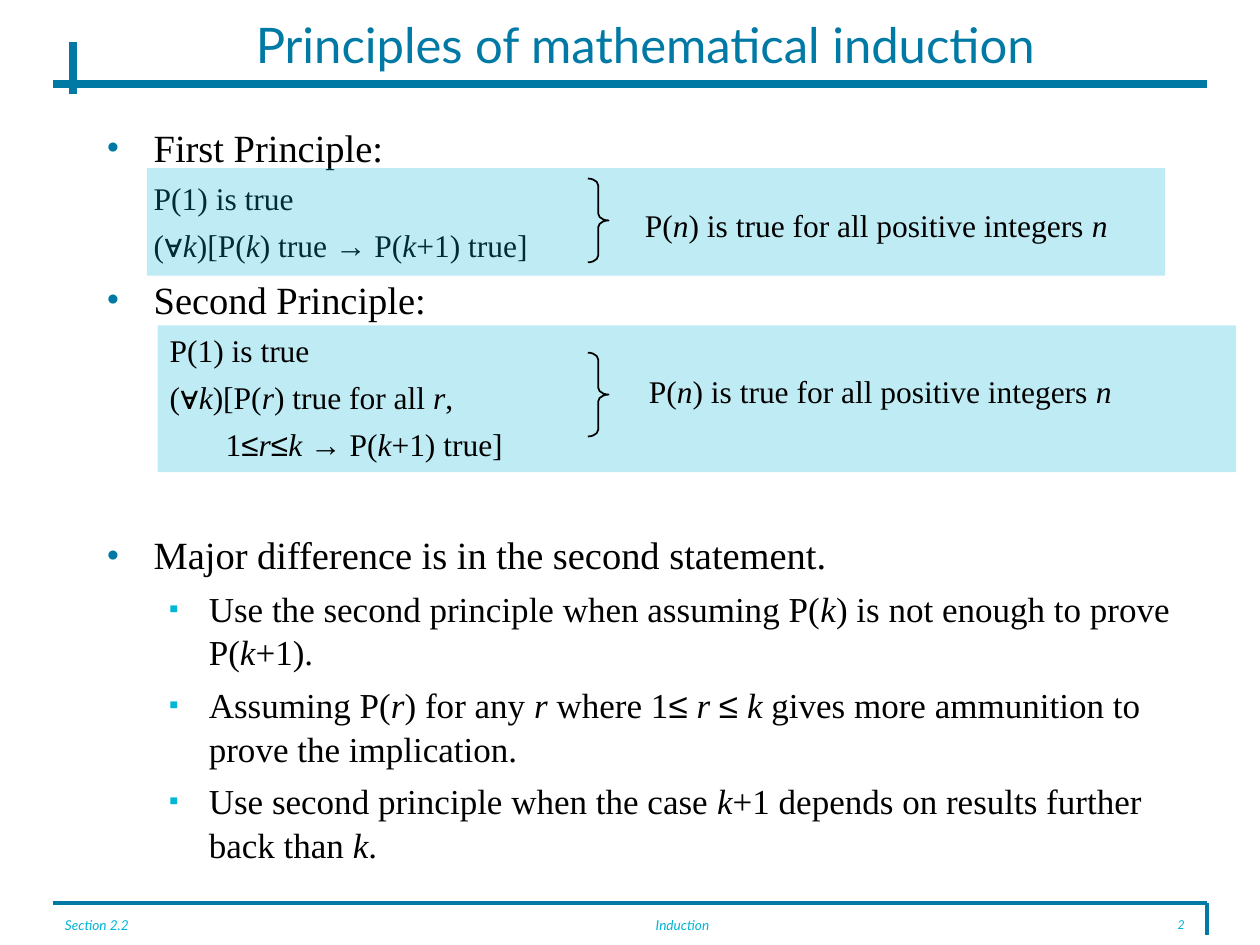
from dataclasses import dataclass
from itertools import groupby

from pptx import Presentation
from pptx.dml.color import RGBColor
from pptx.enum.shapes import MSO_CONNECTOR, MSO_SHAPE
from pptx.enum.text import MSO_ANCHOR, PP_ALIGN
from pptx.oxml.ns import qn
from pptx.util import Cm, Pt
from lxml.etree import SubElement

BLUE, CYAN, BLACK = "007AA5", "00B5D6", "000000"
SERIF, SANS, MATH = "Times New Roman", "Lato", "Arial"
SIGNS = "∀→≤"


@dataclass
class Level:
    size: float
    left: float
    hang: float = 0
    before: float = 4.5
    mark: str = ""
    tint: str = BLUE
    scale: int = 55


@dataclass
class Rule:
    x1: float
    y1: float
    x2: float
    y2: float
    width: float


@dataclass
class Note:
    text: str
    left: float
    width: float
    align: PP_ALIGN
    size: float = 7.8


@dataclass
class Proof:
    band: tuple
    brace: float
    claim: tuple


HEAD = Level(22, 0.95, 0.95, 5.5, "●")
LAST = Level(22, 0.95, 0.95, 37.5, "●")
FIRST = Level(18, 0.95)
SECOND = Level(18, 1.27)
INNER = Level(18, 2.4)
POINT = Level(20, 2.06, 0.79, 5, "■", CYAN, 40)

# Asterisks enclose italic variables
LINES = [
    (HEAD, "First Principle:"),
    (FIRST, "P(1) is true"),
    (FIRST, "(∀*k*)[P(*k*) true → P(*k*+1) true]"),
    (HEAD, "Second Principle:"),
    (SECOND, "P(1) is true"),
    (SECOND, "(∀*k*)[P(*r*) true for all *r*,"),
    (INNER, "1≤*r*≤*k* → P(*k*+1) true]"),
    (LAST, "Major difference is in the second statement."),
    (POINT, "Use the second principle when assuming P(*k*) is not enough to prove P(*k*+1)."),
    (POINT, "Assuming P(*r*) for any *r* where 1≤ *r* ≤ *k* gives more ammunition to "
            "prove the implication."),
    (POINT, "Use second principle when the case *k*+1 depends on results further back than *k*."),
]
CLAIM = "P(*n*) is true for all positive integers *n*"
RULES = [
    Rule(1.06, 18.2, 24.34, 18.2, 2.25),
    Rule(24.34, 18.2, 24.34, 18.84, 2.25),
    Rule(1.06, 1.69, 24.34, 1.69, 4.5),
    Rule(1.48, 0.85, 1.48, 1.9, 4.5),
]
NOTES = [
    Note("Section 2.2", 1.06, 4.45, PP_ALIGN.LEFT),
    Note("Induction", 8.47, 10.58, PP_ALIGN.CENTER),
    Note("2", 22.23, 1.9, PP_ALIGN.RIGHT, 7),
]
PROOFS = [
    Proof((2.96, 3.39, 20.53, 2.17), 3.6, (12.75, 4.02)),
    Proof((3.18, 6.56, 21.74, 2.96), 7.11, (12.83, 7.37)),
]


def paint(target, code: str) -> None:
    target.rgb = RGBColor.from_string(code)


def style(font, size: float, name: str, code: str, slant: bool = False) -> None:
    font.size, font.name, font.italic = Pt(size), name, slant
    paint(font.color, code)


def write(para, text: str, size: float) -> None:
    for i, part in enumerate(text.split("*")):
        for sign, chars in groupby(part, lambda c: c in SIGNS):
            run = para.add_run()
            run.text = "".join(chars)
            style(run.font, size, MATH if sign else SERIF, BLACK, i % 2 == 1)


def indent(para, level: Level) -> None:
    props = para._p.get_or_add_pPr()
    props.set("marL", str(Cm(level.left)))
    props.set("indent", str(-Cm(level.hang)))
    if level.mark:
        tint = SubElement(props, qn("a:buClr"))
        SubElement(tint, qn("a:srgbClr"), val=level.tint)
        SubElement(props, qn("a:buSzPct"), val=str(level.scale * 1000))
        SubElement(props, qn("a:buFont"), typeface=MATH)
        SubElement(props, qn("a:buChar"), char=level.mark)
    else:
        SubElement(props, qn("a:buNone"))


def box(slide, left: float, top: float, width: float, height: float, wrap: bool = True):
    frame = slide.shapes.add_textbox(Cm(left), Cm(top), Cm(width), Cm(height)).text_frame
    frame.word_wrap = wrap
    return frame


def rule(slide, item: Rule) -> None:
    line = slide.shapes.add_connector(
        MSO_CONNECTOR.STRAIGHT, Cm(item.x1), Cm(item.y1), Cm(item.x2), Cm(item.y2))
    paint(line.line.color, BLUE)
    line.line.width = Pt(item.width)
    SubElement(line._element.spPr, qn("a:effectLst"))


def band(slide, proof: Proof) -> None:
    shape = slide.shapes.add_shape(MSO_SHAPE.RECTANGLE, *map(Cm, proof.band))
    shape.shadow.inherit = False
    shape.fill.solid()
    paint(shape.fill.fore_color, CYAN)
    shape.line.fill.background()
    tint = shape._element.spPr.find(qn("a:solidFill"))[0]
    SubElement(tint, qn("a:alpha"), val="25000")


def result(slide, proof: Proof) -> None:
    brace = slide.shapes.add_shape(
        MSO_SHAPE.RIGHT_BRACE, Cm(11.85), Cm(proof.brace), Cm(0.42), Cm(1.69))
    brace.shadow.inherit = False
    brace.adjustments[0] = 0.33
    brace.fill.background()
    paint(brace.line.color, BLACK)
    brace.line.width = Pt(1)
    frame = box(slide, *proof.claim, 9.83, 1.02, wrap=False)
    write(frame.paragraphs[0], CLAIM, 18)


def body(slide) -> None:
    frame = box(slide, 1.9, 2.33, 22.23, 15.24)
    for i, (level, text) in enumerate(LINES):
        para = frame.add_paragraph() if i else frame.paragraphs[0]
        indent(para, level)
        para.line_spacing = 1.04
        if i:
            para.space_before = Pt(level.before)
        write(para, text, level.size)


def note(slide, item: Note) -> None:
    frame = box(slide, item.left, 18.42, item.width, 0.64)
    frame.text = item.text
    para = frame.paragraphs[0]
    para.alignment, para.line_spacing = item.align, 0.8
    style(para.runs[0].font, item.size, SANS, CYAN, True)


def main() -> None:
    deck = Presentation()
    deck.slide_width, deck.slide_height = Cm(25.4), Cm(19.05)
    slide = deck.slides.add_slide(deck.slide_layouts[5])

    # Title
    title = slide.shapes.title
    title.left, title.top, title.width, title.height = map(Cm, (1.69, 0.32, 22.63, 1.15))
    frame = title.text_frame
    frame.text = "Principles of mathematical induction"
    frame.vertical_anchor = MSO_ANCHOR.MIDDLE
    frame.paragraphs[0].alignment = PP_ALIGN.CENTER
    style(frame.paragraphs[0].runs[0].font, 28, SANS, BLUE)

    # Frame lines
    for item in RULES:
        rule(slide, item)

    # Principles: the first band lies over the text, the second under it
    first, second = PROOFS
    band(slide, second)
    body(slide)
    band(slide, first)
    for proof in PROOFS:
        result(slide, proof)

    # Footer
    for item in NOTES:
        note(slide, item)
    deck.save("out.pptx")


if __name__ == "__main__":
    main()
